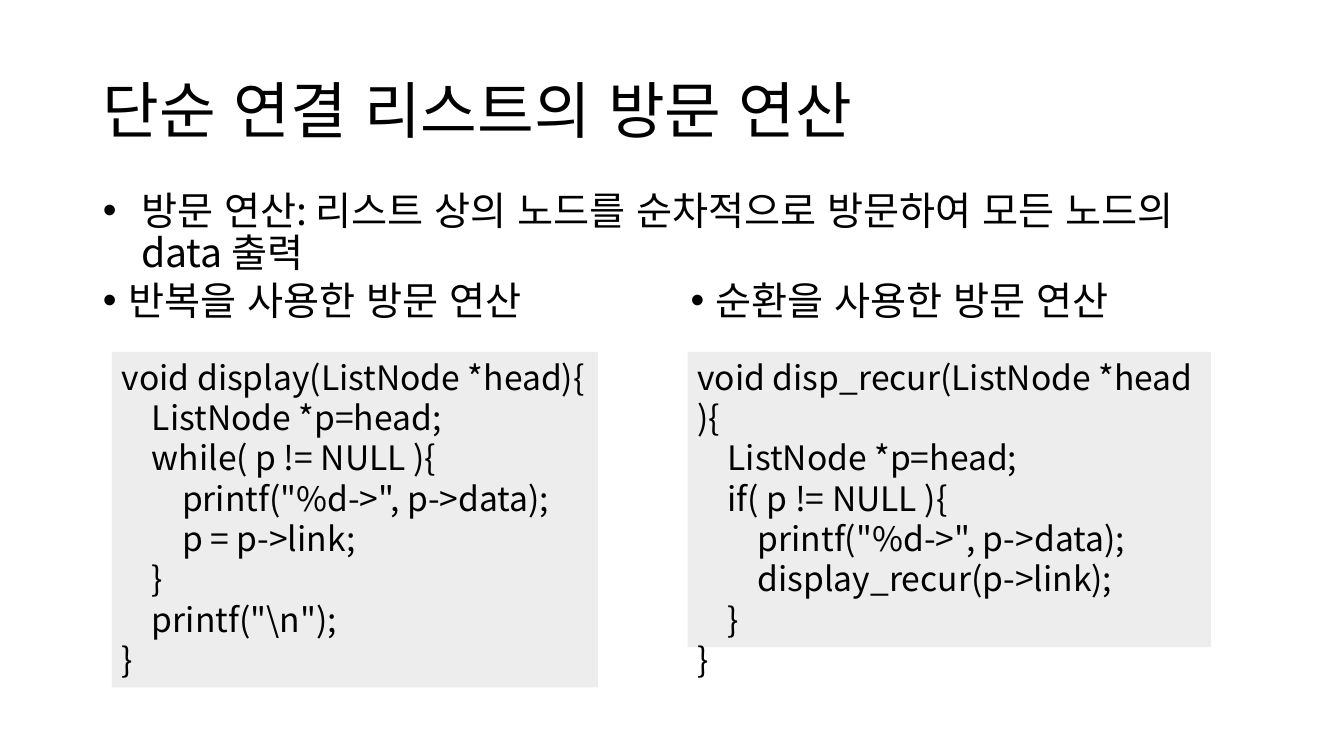
from dataclasses import dataclass

from lxml import etree
from pptx import Presentation
from pptx.dml.color import RGBColor
from pptx.enum.lang import MSO_LANGUAGE_ID
from pptx.enum.shapes import MSO_SHAPE
from pptx.enum.text import MSO_ANCHOR, MSO_AUTO_SIZE, PP_ALIGN
from pptx.oxml.ns import qn
from pptx.util import Inches, Pt

FONT = "Noto Sans CJK KR"
BLACK = "000000"
CODE_FILL = "EDEDED"
KOREAN = MSO_LANGUAGE_ID.KOREAN
RECTANGLE = MSO_SHAPE.RECTANGLE
TOP, MIDDLE = MSO_ANCHOR.TOP, MSO_ANCHOR.MIDDLE
LEFT, JUSTIFY = PP_ALIGN.LEFT, PP_ALIGN.JUSTIFY
NO_AUTOFIT = MSO_AUTO_SIZE.NONE
COMPARISON_LAYOUT = 4
UNUSED_PLACEHOLDER = 3
NO_BREAK_SPACE = chr(160)


@dataclass(frozen=True)
class Box:
    left: float
    top: float
    width: float
    height: float


@dataclass(frozen=True)
class Bullet:
    placeholder: int
    text: str
    box: Box
    indent: float


@dataclass(frozen=True)
class Listing:
    code: str
    box: Box


TITLE = "단순 연결 리스트의 방문 연산"
TITLE_BOX = Box(0.92, 0.4, 11.5, 1.45)

BULLETS = [
    Bullet(1, "방문 연산: 리스트 상의 노드를 순차적으로 방문하여 모든 노드의 data 출력",
           Box(0.92, 1.85, 11.49, 1.64), 0.38),
    Bullet(2, "반복을 사용한 방문 연산", Box(0.92, 2.74, 5.64, 4.03), 0.25),
    Bullet(4, "순환을 사용한 방문 연산", Box(6.75, 2.74, 6.39, 4.03), 0.25),
]

LISTINGS = [
    Listing(r"""void display(ListNode *head){
    ListNode *p=head;
    while( p != NULL ){
        printf("%d->", p->data);
        p = p->link;
    }
    printf("\n");
}""", Box(1.11, 3.49, 4.82, 3.33)),
    Listing(r"""void disp_recur(ListNode *head){
    ListNode *p=head;
    if( p != NULL ){
        printf("%d->", p->data);
        display_recur(p->link);
    }
}""", Box(6.82, 3.49, 5.19, 2.93)),
]


def color(value: str) -> RGBColor:
    return RGBColor.from_string(value)


def place(shape, box: Box) -> None:
    shape.left, shape.top = Inches(box.left), Inches(box.top)
    shape.width, shape.height = Inches(box.width), Inches(box.height)


def add_bullet(paragraph, indent: float) -> None:
    properties = paragraph._p.get_or_add_pPr()
    properties.set("marL", str(Inches(indent)))
    properties.set("indent", str(-Inches(indent)))
    etree.SubElement(properties, qn("a:buFont"), typeface="Arial")
    etree.SubElement(properties, qn("a:buChar"), char="•")


def write(shape, text: str, *, size: float, align=LEFT, anchor=TOP,
          line_spacing: float = 1.0, indent: float = 0) -> None:
    """Fill a shape with one paragraph per line of text."""
    frame = shape.text_frame
    frame.word_wrap = True
    frame.auto_size = NO_AUTOFIT
    frame.vertical_anchor = anchor
    for number, line in enumerate(text.split("\n")):
        paragraph = frame.paragraphs[0] if number == 0 else frame.add_paragraph()
        if indent:
            add_bullet(paragraph, indent)
        paragraph.alignment = align
        paragraph.line_spacing = line_spacing
        paragraph.space_before = Pt(0)
        run = paragraph.add_run()
        run.text = line
        font = run.font
        font.name, font.size, font.bold = FONT, Pt(size), False
        font.language_id = KOREAN
        font.color.rgb = color(BLACK)
        etree.SubElement(run._r.get_or_add_rPr(), qn("a:ea"), typeface=FONT)


def add_listing(slide, listing: Listing) -> None:
    shape = slide.shapes.add_shape(RECTANGLE, 0, 0, 0, 0)
    place(shape, listing.box)
    shape.shadow.inherit = False
    shape.fill.solid()
    shape.fill.fore_color.rgb = color(CODE_FILL)
    shape.line.fill.background()
    # Code lines may not break at their spaces.
    code = listing.code.replace(" ", NO_BREAK_SPACE)
    write(shape, code, size=24, align=JUSTIFY)


def main() -> None:
    presentation = Presentation()
    presentation.slide_width = Inches(13.33)
    presentation.slide_height = Inches(7.5)
    slide = presentation.slides.add_slide(
        presentation.slide_layouts[COMPARISON_LAYOUT])
    placeholders = {item.placeholder_format.idx: item
                    for item in slide.placeholders}

    title = slide.shapes.title
    place(title, TITLE_BOX)
    write(title, TITLE, size=44, anchor=MIDDLE, line_spacing=0.9)

    for bullet in BULLETS:
        body = placeholders[bullet.placeholder]
        place(body, bullet.box)
        write(body, bullet.text, size=28, line_spacing=0.9, indent=bullet.indent)

    unused = placeholders[UNUSED_PLACEHOLDER].element
    unused.getparent().remove(unused)

    for listing in LISTINGS:
        add_listing(slide, listing)

    presentation.save("out.pptx")


if __name__ == "__main__":
    main()
